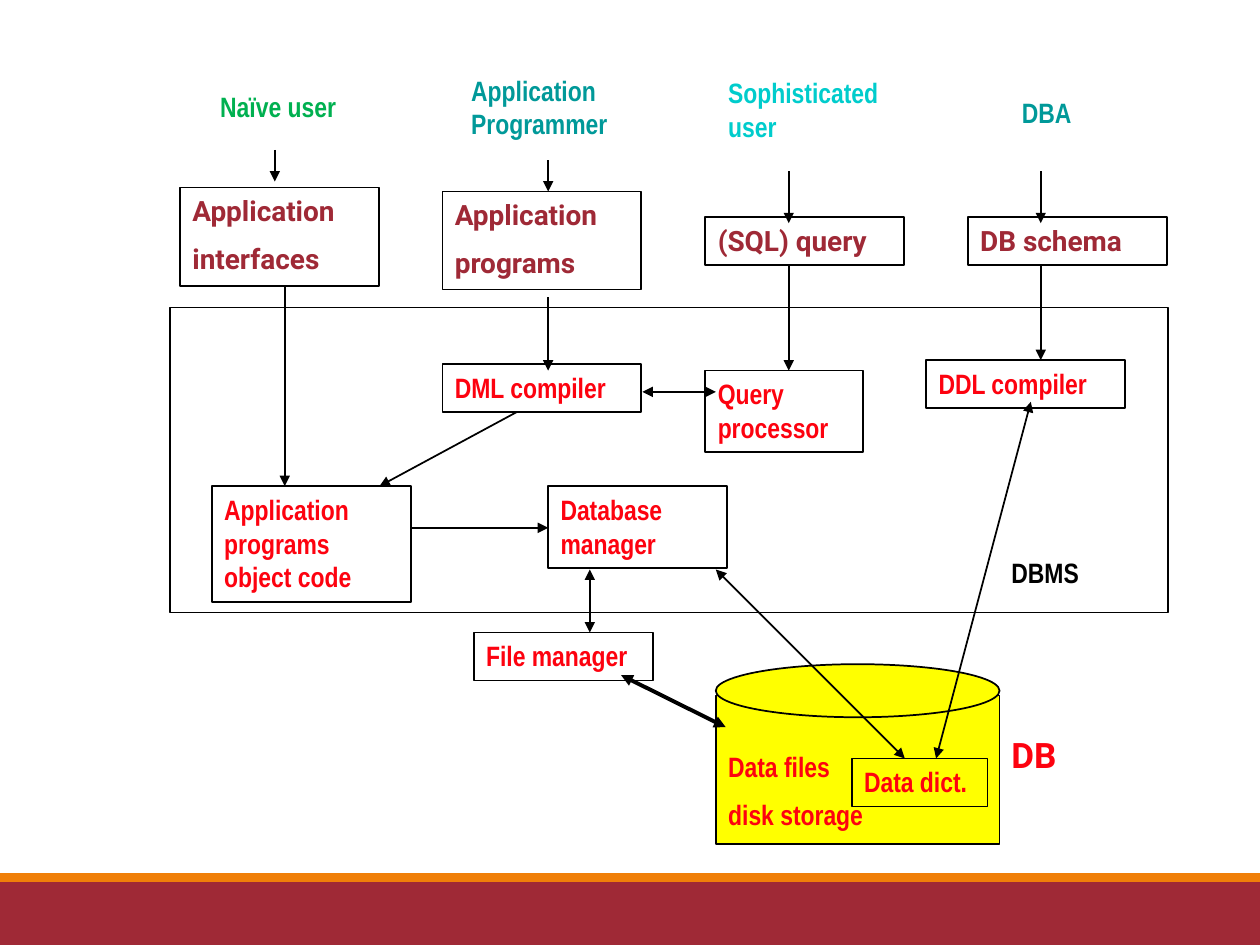
from pptx import Presentation
from pptx import util as u
from pptx.dml.color import RGBColor
from pptx.enum import shapes, text
from pptx.oxml.ns import qn
from lxml import etree

NARROW, ROBOTO = "Arial Narrow", "Roboto"
RED, MAROON, BLACK, YELLOW = "FD020F", "9F2936", "000000", "FFFF00"
RECT, OVAL = shapes.MSO_SHAPE.RECTANGLE, shapes.MSO_SHAPE.OVAL

prs = Presentation()
prs.slide_width, prs.slide_height = u.Cm(25.4), u.Cm(19.05)
s = prs.slides.add_slide(prs.slide_layouts[6])


def paint(fmt, color):
    """Set a hex colour on a fill, or on a font's fill."""
    fmt.solid()
    fmt.fore_color.rgb = RGBColor.from_string(color)


def add_box(pos, lines=(), color=RED, font=NARROW, size=16, kind=RECT,
            fill=None, line=BLACK, top=0.13):
    """Add a shape (a text box if kind is None), one paragraph per line."""
    pos = [u.Cm(v) for v in pos]
    if kind is None:
        sp = s.shapes.add_textbox(*pos)
    else:
        sp = s.shapes.add_shape(kind, *pos)
        sp.shadow.inherit = False
        if fill:
            paint(sp.fill, fill)
        else:
            sp.fill.background()
        if line:
            paint(sp.line.fill, line)
            sp.line.width = u.Pt(1)
        else:
            sp.line.fill.background()
    tf = sp.text_frame
    tf.word_wrap = True
    tf.vertical_anchor = text.MSO_ANCHOR.TOP
    tf.margin_left = tf.margin_right = u.Cm(0.25)
    tf.margin_top, tf.margin_bottom = u.Cm(top), u.Cm(0.13)
    for i, words in enumerate(lines):
        p = tf.add_paragraph() if i else tf.paragraphs[0]
        p.alignment = text.PP_ALIGN.LEFT
        if i:
            p.space_before = u.Pt(8)
        r = p.add_run()
        r.text = words
        r.font.name, r.font.size, r.font.bold = font, u.Pt(size), True
        paint(r.font.fill, color)


# Footer bands
add_box((0, 17.78, 25.4, 1.27), fill=MAROON, line=None)
add_box((0, 17.6, 25.4, 0.18), fill="F07F09", line=None)

# DBMS frame
add_box((3.43, 6.2, 20.12, 6.15))

# What each user works with
for x, y, h, lines in [
    (3.63, 3.78, 1.98, ["Application", "interfaces"]),
    (8.92, 3.86, 1.98, ["Application", "programs"]),
    (14.22, 4.37, 0.97, ["(SQL) query"]),
    (19.51, 4.37, 0.97, ["DB schema"]),
]:
    add_box((x, y, 4.01, h), lines, MAROON, ROBOTO)

# Disk storage cylinder
add_box((14.43, 14.02, 5.72, 3), ["Data files", "disk storage"],
        fill=YELLOW, top=1.09)
add_box((14.43, 13.39, 5.72, 1.07), kind=OVAL, fill=YELLOW)

# System components
for *pos, words in [
    (4.27, 9.8, 4.01, 2.34, "Application programs object code"),
    (8.92, 7.34, 4.01, 0.97, "DML compiler"),
    (14.22, 7.47, 3.18, 1.65, "Query processor"),
    (18.67, 7.26, 4.01, 0.97, "DDL compiler"),
    (11.05, 9.8, 3.61, 1.65, "Database manager"),
    (9.55, 12.75, 3.61, 0.97, "File manager"),
    (17.17, 15.29, 2.74, 0.97, "Data dict."),
]:
    add_box(pos, [words])

# User and region labels
for *pos, words, color in [
    (4.19, 1.68, 3.18, 0.94, "Naïve user", "00B050"),
    (9.25, 1.35, 3.61, 1.63, "Application Programmer", "009999"),
    (14.43, 1.4, 4.06, 1.63, "Sophisticated user", "00CCCC"),
    (20.35, 1.8, 1.7, 0.94, "DBA", "009999"),
    (20.14, 11.07, 2.97, 0.94, "DBMS", BLACK),
]:
    add_box(pos, [words], color, kind=None)
add_box((20.14, 14.66, 1.91, 1.09), ["DB"], font=ROBOTO, size=20, kind=None)

# Arrows: start, end, arrowheads, width
ONE, BOTH = ["tailEnd"], ["headEnd", "tailEnd"]
for x1, y1, x2, y2, ends, width in [
    (5.54, 3.02, 5.54, 3.66, ONE, 1),
    (11.05, 3.23, 11.05, 3.86, ONE, 1),
    (15.9, 3.45, 15.9, 4.5, ONE, 1),
    (20.98, 3.45, 20.98, 4.5, ONE, 1),
    (5.74, 5.77, 5.74, 9.8, ONE, 1),
    (11.05, 5.99, 11.05, 7.47, ONE, 1),
    (15.9, 5.36, 15.9, 7.47, ONE, 1),
    (20.98, 5.36, 20.98, 7.26, ONE, 1),
    (10.41, 8.31, 7.65, 9.8, ONE, 1),
    (8.28, 10.64, 11.05, 10.64, ONE, 1),
    (12.95, 7.9, 14.43, 7.9, BOTH, 1),
    (11.89, 11.48, 11.89, 12.75, BOTH, 1),
    (12.52, 13.61, 14.63, 14.66, BOTH, 2.25),
    (14.43, 11.48, 18.24, 15.29, BOTH, 1),
    (18.87, 15.29, 20.78, 8.1, BOTH, 1),
]:
    c = s.shapes.add_connector(shapes.MSO_CONNECTOR.STRAIGHT,
                               u.Cm(x1), u.Cm(y1), u.Cm(x2), u.Cm(y2))
    paint(c.line.fill, BLACK)
    c.line.width = u.Pt(width)
    ln = c.line._get_or_add_ln()
    for end in ends:
        etree.SubElement(ln, qn("a:" + end), type="triangle")
    etree.SubElement(c._element.spPr, qn("a:effectLst"))

prs.save("out.pptx")
